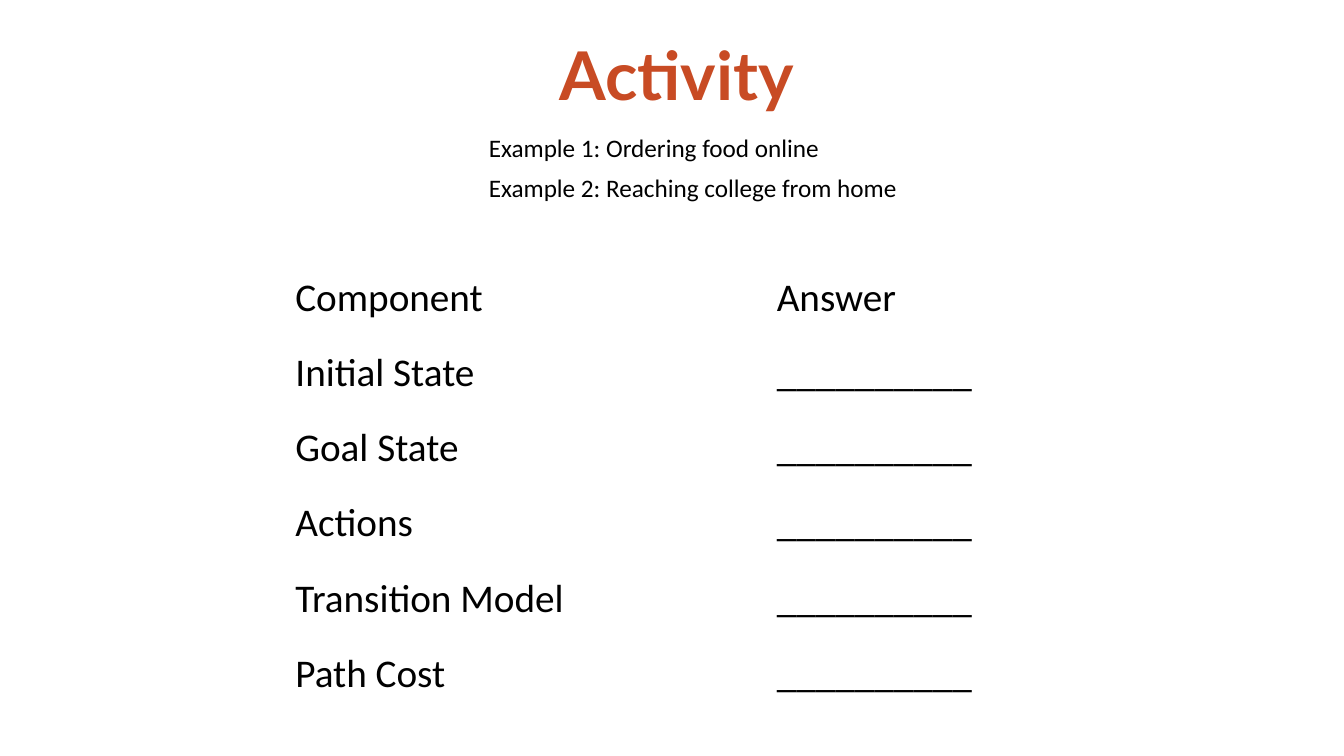
"""Build the Activity slide: two examples above a blank answer table."""
from dataclasses import dataclass

import pptx
import pptx.dml.color
import pptx.enum.text
from pptx.util import Inches


@dataclass(frozen=True)
class Theme:
    accent: str = "C84B24"
    ink: str = "000000"
    title_font: str = "Lato"
    body_font: str = "Calibri"
    title_size: int = 48
    table_size: int = 28
    example_size: int = 18


THEME = Theme()
BLANK = "_" * 10
EXAMPLES = ["Example 1: Ordering food online", "Example 2: Reaching college from home"]
COMPONENTS = ["Initial State", "Goal State", "Actions", "Transition Model", "Path Cost"]


def add_run(p, text, size, font=THEME.body_font, color=THEME.ink, bold=False):
    r = p.add_run()
    r.text = text
    r.font.name = font
    r.font.size = pptx.util.Pt(size)
    r.font.bold = bold
    r.font.color.rgb = pptx.dml.color.RGBColor.from_string(color)


def set_title(s, text):
    sp = s.shapes.title
    sp.left, sp.top, sp.width, sp.height = map(Inches, (1.17, 0.33, 11.08, 0.81))
    tf = sp.text_frame
    tf.margin_left = tf.margin_top = tf.margin_right = tf.margin_bottom = 0
    tf.vertical_anchor = pptx.enum.text.MSO_ANCHOR.TOP
    tf.auto_size = pptx.enum.text.MSO_AUTO_SIZE.NONE
    p = tf.paragraphs[0]
    p.alignment = pptx.enum.text.PP_ALIGN.CENTER
    add_run(p, text, THEME.title_size, THEME.title_font, THEME.accent, bold=True)


def add_example(s, text, top):
    sp = s.shapes.add_textbox(Inches(4.75), Inches(top), Inches(6.67), Inches(0.4))
    tf = sp.text_frame
    tf.word_wrap = True
    add_run(tf.paragraphs[0], text, THEME.example_size)


def add_answer_table(s, rows):
    frame = s.shapes.add_table(len(rows), len(rows[0]), Inches(2.83), Inches(2.58),
                               Inches(9.55), Inches(4.48))
    table = frame.table
    table.first_row = table.horz_banding = False
    for i, row in enumerate(rows):
        for j, text in enumerate(row):
            cell = table.cell(i, j)
            cell.fill.background()
            cell.vertical_anchor = pptx.enum.text.MSO_ANCHOR.MIDDLE
            add_run(cell.text_frame.paragraphs[0], text, THEME.table_size)


def main():
    prs = pptx.Presentation()
    prs.slide_width, prs.slide_height = Inches(13.33), Inches(7.5)
    s = prs.slides.add_slide(prs.slide_layouts.get_by_name("Title Only"))
    set_title(s, "Activity")
    add_answer_table(s, [("Component", "Answer")] + [(name, BLANK) for name in COMPONENTS])
    for i, text in enumerate(EXAMPLES):
        add_example(s, text, 1.26 + 0.4 * i)
    prs.save("out.pptx")


if __name__ == "__main__":
    main()
